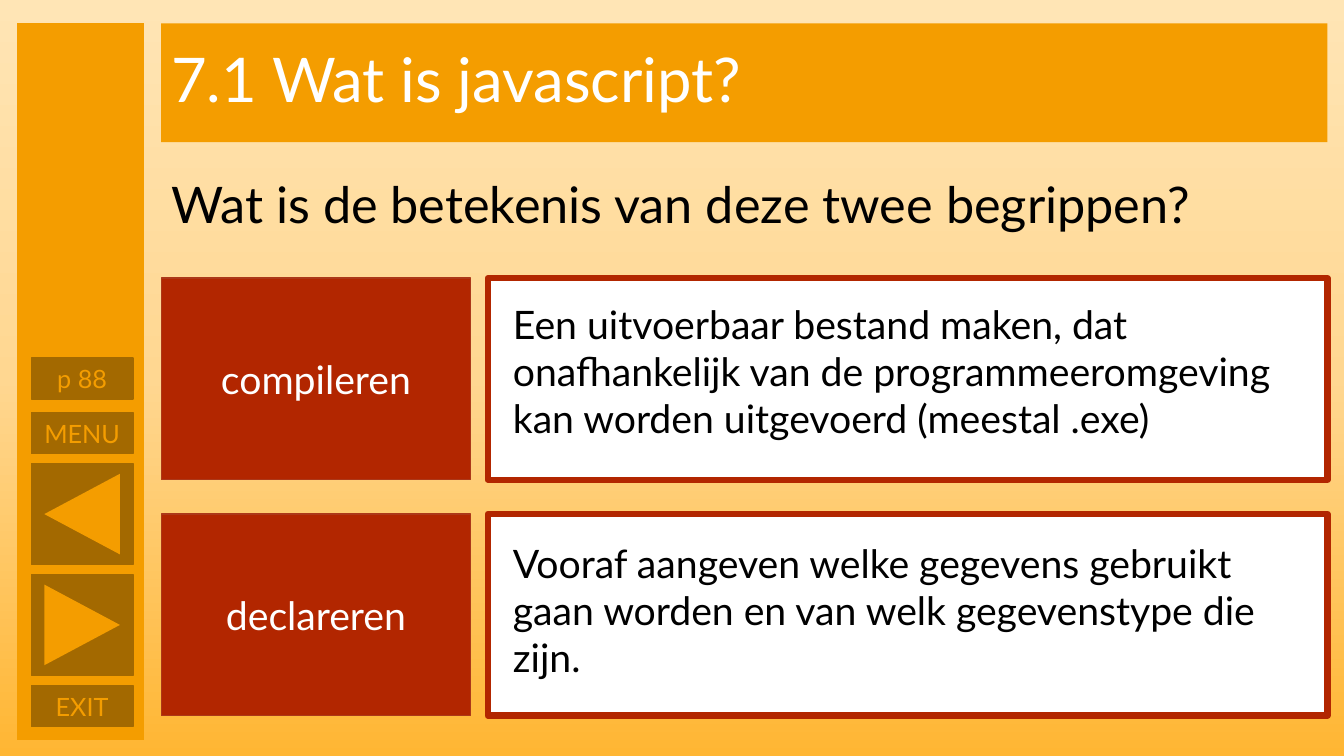
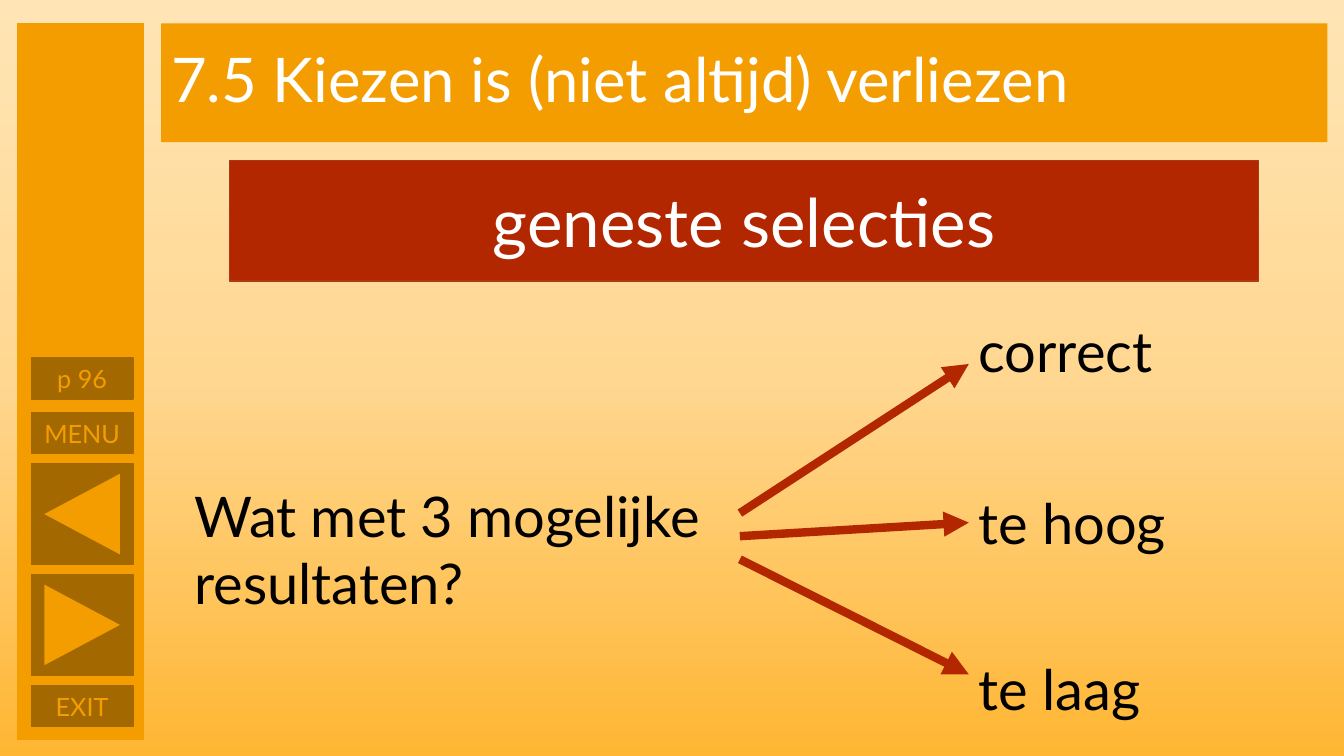
from copy import deepcopy
from dataclasses import dataclass

from lxml import etree
from pptx import Presentation
from pptx.dml.color import RGBColor
from pptx.enum.shapes import MSO_CONNECTOR, MSO_SHAPE
from pptx.enum.text import MSO_ANCHOR, MSO_AUTO_SIZE, PP_ALIGN
from pptx.oxml.ns import qn
from pptx.util import Pt

RECT, TRIANGLE = MSO_SHAPE.RECTANGLE, MSO_SHAPE.ISOSCELES_TRIANGLE
STRAIGHT = MSO_CONNECTOR.STRAIGHT
MIDDLE, TOP = MSO_ANCHOR.MIDDLE, MSO_ANCHOR.TOP
LEFT, CENTER = PP_ALIGN.LEFT, PP_ALIGN.CENTER
GROW = MSO_AUTO_SIZE.SHAPE_TO_FIT_TEXT
LEFT_SIDE = 1


@dataclass(frozen=True)
class Theme:
    font: str = "Lato"
    orange: str = "F49D00"
    brown: str = "A36900"
    red: str = "B22600"
    red_edge: str = "AC3819"
    white: str = "FFFFFF"
    black: str = "000000"
    background: tuple = ((0, "FFE5B5"), (0.5, "FFD791"), (1, "FFB633"))
    title: int = 44
    banner: int = 48
    answer: int = 40
    question: int = 36
    body: int = 28
    button: int = 18


THEME = Theme()

# Content
TERMS_SLIDE = {
    "title": "7.1 Wat is javascript?",
    "page": "p 88",
    "question": "Wat is de betekenis van deze twee begrippen?",
    # term, meaning, offset of the meaning from the top of its row
    "terms": [
        ("compileren",
         "Een uitvoerbaar bestand maken, dat onafhankelijk van de "
         "programmeeromgeving kan worden uitgevoerd (meestal .exe)", 12.2),
        ("declareren",
         "Vooraf aangeven welke gegevens gebruikt gaan worden en van welk "
         "gegevenstype die zijn.", 14.4),
    ],
}
CHOICES_SLIDE = {
    "title": "7.5 Kiezen is (niet altijd) verliezen",
    "page": "p 96",
    "banner": "geneste selecties",
    "question": "Wat met 3 mogelijke resultaten?",
    # answer, top of its text, arrow end height (None: middle of the text)
    "answers": [
        ("correct", 222.5, 260),
        ("te hoog", 345.6, None),
        ("te laag", 463.7, 481.7),
    ],
}

# Layout
SLIDE_SIZE = (960, 540)
BAND_TOP = 16.6
MAIN_LEFT, MAIN_WIDTH = 115.2, 833
BUTTON_LEFT, BUTTON_WIDTH = 22.3, 72.7
LABEL_HEIGHT, ARROW_HEIGHT = 29.5, 72
PAGE_TOP, MENU_TOP, EXIT_TOP = 255.6, 294.5, 489.6
ARROW_BUTTONS = [(410.4, 90), (331.2, 270)]  # top, rotation
TRIANGLE_SIZE = (57.6, 54)
ROW_TOP, ROW_STEP, ROW_HEIGHT = 198.7, 168.5, 144
TERM_WIDTH, MEANING_LEFT, MEANING_INSET = 221, 348.5, 10.8
ANSWER_LEFT, ANSWER_WIDTH, ANSWER_HEIGHT = 692, 262, 55.4
ARROW_LEFT, ARROW_TOP, ARROW_STEP = 528.5, 366.5, 16.5


def color(code):
    return RGBColor.from_string(code)


def write(shape, text, size, ink, align=LEFT, anchor=TOP):
    frame = shape.text_frame
    frame.word_wrap = True
    frame.vertical_anchor = anchor
    frame.text = text
    para = frame.paragraphs[0]
    para.alignment = align
    for span in para.runs:
        span.font.name = THEME.font
        span.font.size = Pt(size)
        span.font.color.rgb = color(ink)


def add_block(page, place, fill, edge=None, weight=1, kind=RECT):
    block = page.shapes.add_shape(kind, *map(Pt, place))
    block.shadow.inherit = False
    block.fill.solid()
    block.fill.fore_color.rgb = color(fill)
    if edge:
        block.line.color.rgb = color(edge)
        block.line.width = Pt(weight)
    else:
        block.line.fill.background()
    return block


def add_red_box(page, place, text, size):
    box = add_block(page, place, THEME.red, THEME.red_edge)
    write(box, text, size, THEME.white, CENTER, MIDDLE)


def add_text(page, place, text, size):
    box = page.shapes.add_textbox(*map(Pt, place))
    write(box, text, size, THEME.black)
    box.text_frame.auto_size = GROW
    return box


def add_arrow(page, start, end):
    arrow = page.shapes.add_connector(STRAIGHT, *map(Pt, start + end))
    arrow.line.color.rgb = color(THEME.red)
    arrow.line.width = Pt(6)
    properties = arrow._element.spPr
    line = properties.find(qn("a:ln"))
    etree.SubElement(line, qn("a:tailEnd"), type="triangle")
    etree.SubElement(properties, qn("a:effectLst"))
    return arrow


def set_background(master):
    fill = master.background.fill
    fill.gradient()
    fill.gradient_angle = 270
    stop_list = master._element.find(".//" + qn("a:gsLst"))
    stop_list.append(deepcopy(stop_list[0]))
    for stop, (position, code) in zip(fill.gradient_stops, THEME.background):
        stop.position = position
        stop.color.rgb = color(code)


def add_button(page, top, height):
    place = (BUTTON_LEFT, top, BUTTON_WIDTH, height)
    return add_block(page, place, THEME.brown, THEME.brown)


def start_page(deck, content):
    """Add a slide with the title band and the navigation bar."""
    page = deck.slides.add_slide(deck.slide_layouts[6])
    title = add_block(page, (MAIN_LEFT, BAND_TOP, MAIN_WIDTH, 85), THEME.orange)
    write(title, content["title"], THEME.title, THEME.white, anchor=MIDDLE)
    title.text_frame.paragraphs[0].line_spacing = 0.9
    add_block(page, (12.2, BAND_TOP, 90.7, 512), THEME.orange)

    labels = [(content["page"], PAGE_TOP), ("MENU", MENU_TOP), ("EXIT", EXIT_TOP)]
    for text, top in labels:
        button = add_button(page, top, LABEL_HEIGHT)
        write(button, text, THEME.button, THEME.orange, CENTER, MIDDLE)

    width, height = TRIANGLE_SIZE
    for top, rotation in ARROW_BUTTONS:
        add_button(page, top, ARROW_HEIGHT)
        place = (BUTTON_LEFT + (BUTTON_WIDTH - width) / 2,
                 top + (ARROW_HEIGHT - height) / 2, width, height)
        triangle = add_block(page, place, THEME.orange, kind=TRIANGLE)
        triangle.rotation = rotation
    return page


def build_terms(deck, content):
    page = start_page(deck, content)
    add_text(page, (MAIN_LEFT, 120.2, MAIN_WIDTH, 51), content["question"],
             THEME.question)
    meaning_width = MAIN_LEFT + MAIN_WIDTH - MEANING_LEFT
    for row, (term, meaning, offset) in enumerate(content["terms"]):
        top = ROW_TOP + row * ROW_STEP
        add_red_box(page, (MAIN_LEFT, top, TERM_WIDTH, ROW_HEIGHT), term, THEME.body)
        add_block(page, (MEANING_LEFT, top, meaning_width, ROW_HEIGHT),
                  THEME.white, THEME.red, 4.5)
        add_text(page, (MEANING_LEFT + MEANING_INSET, top + offset,
                        meaning_width - MEANING_INSET, 108.7), meaning, THEME.body)


def build_choices(deck, content):
    page = start_page(deck, content)
    add_red_box(page, (164, 114.5, 735, 86.4), content["banner"], THEME.banner)
    add_text(page, (131.8, 340.6, 414.7, 104.4), content["question"], THEME.answer)
    for row, (answer, top, arrow_end) in enumerate(content["answers"]):
        box = add_text(page, (ANSWER_LEFT, top, ANSWER_WIDTH, ANSWER_HEIGHT),
                       answer, THEME.answer)
        start = (ARROW_LEFT, ARROW_TOP + row * ARROW_STEP)
        end = (ANSWER_LEFT, arrow_end or top + ANSWER_HEIGHT / 2)
        arrow = add_arrow(page, start, end)
        if arrow_end is None:
            arrow.end_connect(box, LEFT_SIDE)


def main():
    deck = Presentation()
    deck.slide_width, deck.slide_height = map(Pt, SLIDE_SIZE)
    set_background(deck.slide_master)
    build_terms(deck, TERMS_SLIDE)
    build_choices(deck, CHOICES_SLIDE)
    deck.save("out.pptx")


if __name__ == "__main__":
    main()
